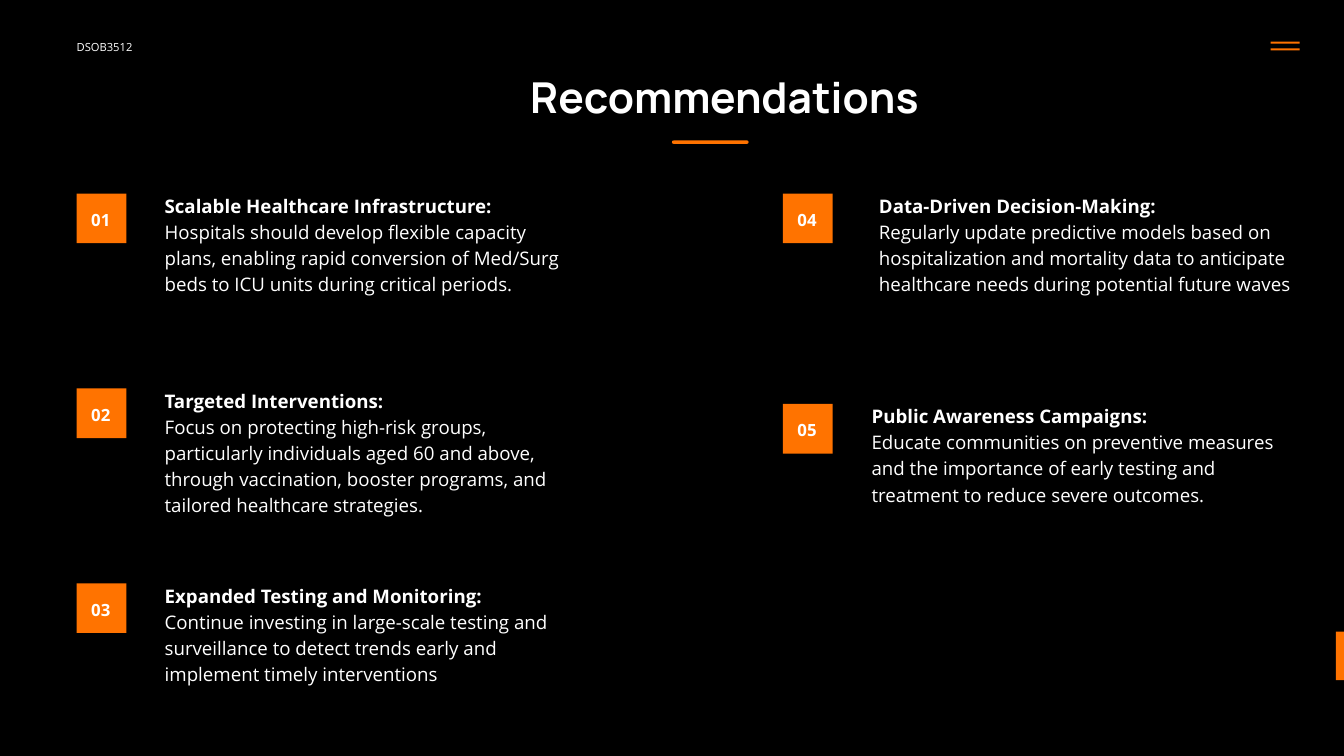
"""Build the Recommendations slide: five numbered points in two columns."""
import pptx
import pptx.dml.color
import pptx.enum.shapes
import pptx.enum.text
import pptx.util

BLACK = pptx.dml.color.RGBColor(0x00, 0x00, 0x00)
WHITE = pptx.dml.color.RGBColor(0xFF, 0xFF, 0xFF)
ORANGE = pptx.dml.color.RGBColor(0xFF, 0x73, 0x00)
BODY_FONT, TITLE_FONT = "Open Sans", "Manrope"

WIDTH, HEIGHT = 20, 11.25
MARGIN, TOP, BADGE = 1.14, 2.88, 0.74

COLUMNS = [
    {"left": MARGIN, "step": 2.9, "points": [
        ("Scalable Healthcare Infrastructure:",
         "Hospitals should develop flexible capacity plans, enabling rapid "
         "conversion of Med/Surg beds to ICU units during critical periods.",
         2.45, 6.16, 1.91),
        ("Targeted Interventions:",
         "Focus on protecting high-risk groups, particularly individuals aged "
         "60 and above, through vaccination, booster programs, and tailored "
         "healthcare strategies.",
         2.45, 6.31, 2.31),
        ("Expanded Testing and Monitoring:",
         "Continue investing in large-scale testing and surveillance to detect "
         "trends early and implement timely interventions",
         2.45, 6.02, 1.91),
    ]},
    {"left": 11.65, "step": 3.13, "points": [
        ("Data-Driven Decision-Making:",
         "Regularly update predictive models based on hospitalization and "
         "mortality data to anticipate healthcare needs during potential "
         "future waves",
         13.08, 6.16, 1.91),
        ("Public Awareness Campaigns:",
         "Educate communities on preventive measures and the importance of "
         "early testing and treatment to reduce severe outcomes.",
         12.97, 6.16, 1.91),
    ]},
]


def add_block(s, left, top, width, height, rounded=False):
    shapes = pptx.enum.shapes.MSO_SHAPE
    kind = shapes.ROUNDED_RECTANGLE if rounded else shapes.RECTANGLE
    sp = s.shapes.add_shape(kind, *map(pptx.util.Inches, (left, top, width, height)))
    sp.shadow.inherit = False
    sp.fill.solid()
    sp.fill.fore_color.rgb = ORANGE
    sp.line.fill.background()
    return sp


def add_text(s, box, lines, size, leading, font=BODY_FONT, bold=False, centred=False):
    tf = s.shapes.add_textbox(*map(pptx.util.Inches, box)).text_frame
    tf.word_wrap = True
    tf.margin_left = tf.margin_right = tf.margin_top = tf.margin_bottom = 0
    tf.text = "\n".join(lines)
    for i, p in enumerate(tf.paragraphs):
        p.line_spacing = pptx.util.Pt(leading)
        if centred:
            p.alignment = pptx.enum.text.PP_ALIGN.CENTER
        f = p.runs[0].font
        f.name, f.size = font, pptx.util.Pt(size)
        f.bold = bold and i == 0
        f.color.rgb = WHITE


def add_point(s, number, left, top, point):
    heading, body, text_left, width, height = point
    add_block(s, left, top, BADGE, BADGE)
    add_text(s, (left + 0.09, top + 0.19, 0.54, 0.33), [f"{number:02d}"],
             18, 25.2, bold=True, centred=True)
    add_text(s, (text_left, top - 0.04, width, height), [heading, body],
             20, 28, bold=True)


def main():
    prs = pptx.Presentation()
    prs.slide_width = pptx.util.Inches(WIDTH)
    prs.slide_height = pptx.util.Inches(HEIGHT)
    s = prs.slides.add_slide(prs.slide_layouts[6])
    s.background.fill.solid()
    s.background.fill.fore_color.rgb = BLACK

    for i in range(2):
        add_block(s, 18.91, 0.62 + 0.1 * i, 0.43, 0.03)
    add_block(s, WIDTH - 0.12, 9.4, 0.12, 0.72)
    add_text(s, (MARGIN, 0.57, 1.69, 0.22), ["DSOB3512"], 12, 16.8)

    underline = add_block(s, WIDTH / 2, 2.09, 1.14, 0.05, rounded=True)
    underline.adjustments[0] = 0.5
    add_text(s, (7.89, 1.08, 6.37, 0.8), ["Recommendations"], 45.6, 53.4,
             font=TITLE_FONT, bold=True)

    number = 0
    for column in COLUMNS:
        for row, point in enumerate(column["points"]):
            number += 1
            add_point(s, number, column["left"], TOP + row * column["step"], point)

    prs.save("out.pptx")


if __name__ == "__main__":
    main()
